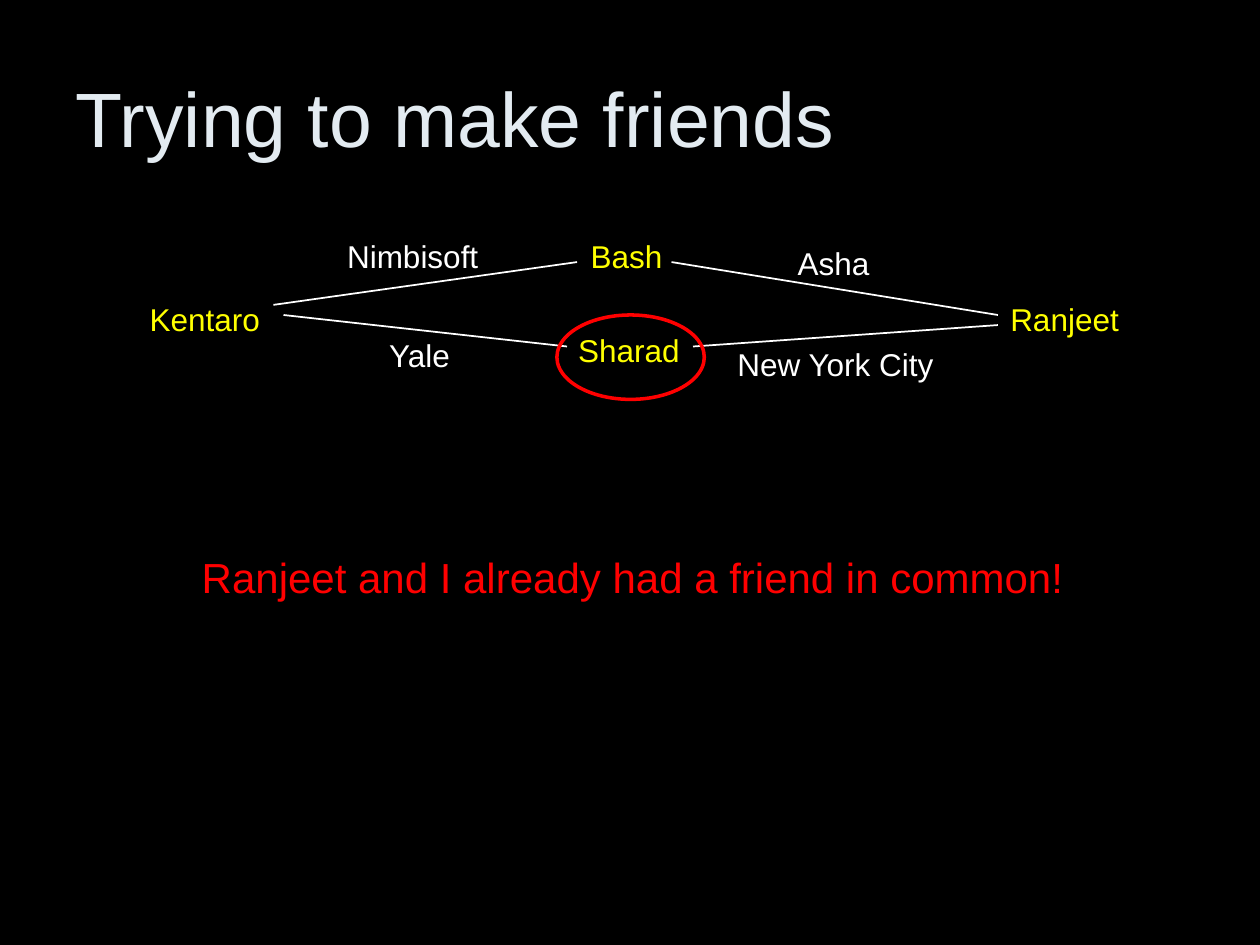
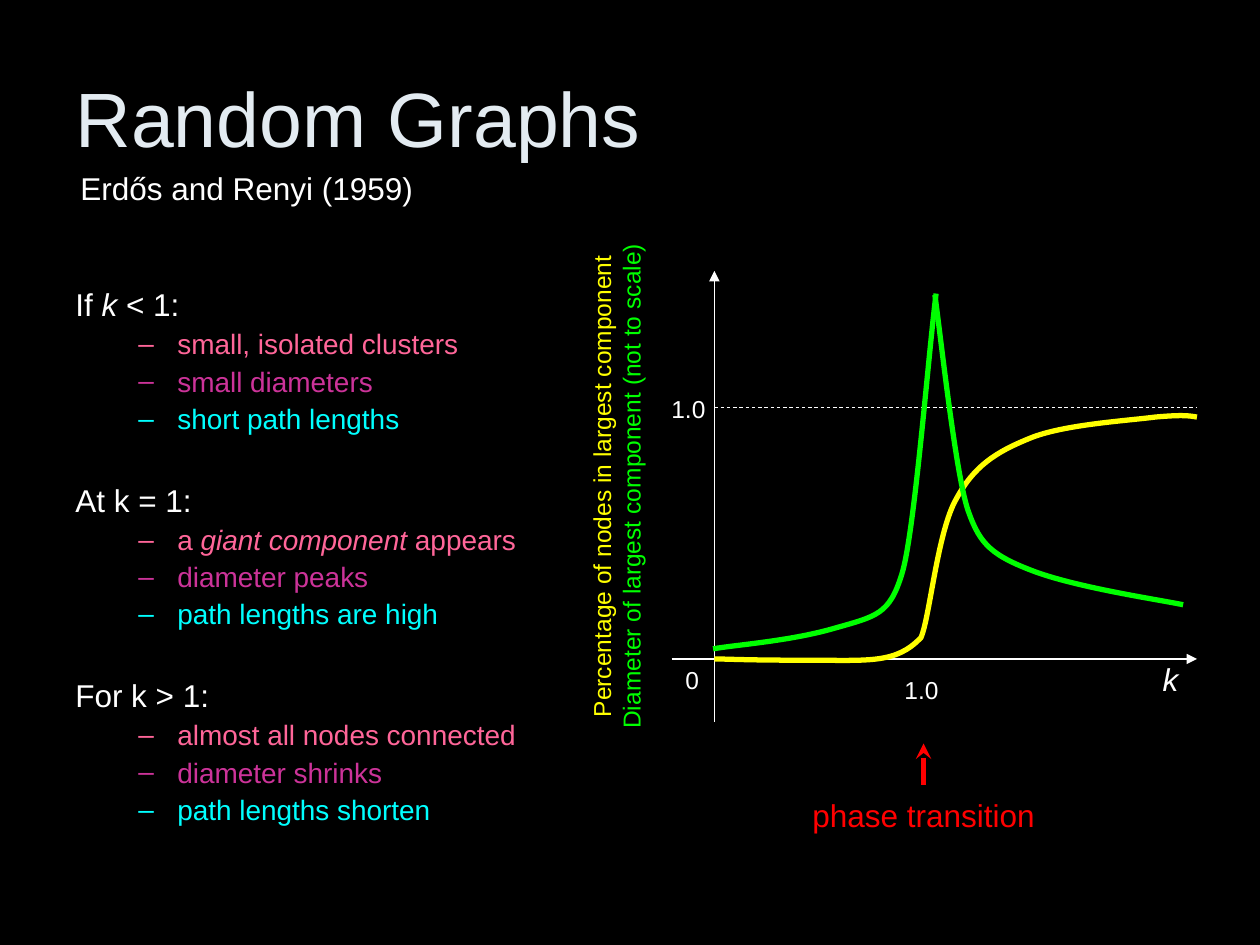
from lxml import etree
from pptx import Presentation
from pptx.dml.color import RGBColor
from pptx.enum import dml, shapes, text
from pptx.oxml import ns
from pptx.util import Inches, Pt

FONT = "Arial"
BLACK, WHITE, TITLE = "000000", "FFFFFF", "E3EBF1"
YELLOW, RED, GREEN = "FFFF00", "FF0000", "00FF00"
PINK, PURPLE, CYAN = "FF6699", "CC3399", "00FFFF"
LEFT, CENTER = text.PP_ALIGN.LEFT, text.PP_ALIGN.CENTER

PEOPLE = [
    ("Kentaro", 1.09, 2.33, 1.07),
    ("Ranjeet", 7.92, 2.33, 1.06),
    ("Bash", 4.59, 1.83, 0.77),
    ("Sharad", 4.49, 2.58, 1),
]
SHARED_PLACES = [
    ("Nimbisoft", 2.67, 1.83, 1.21),
    ("Asha", 6.23, 1.89, 0.77),
    ("New York City", 5.74, 2.69, 1.78),
    ("Yale", 2.98, 2.62, 0.7),
]
FRIENDSHIPS = [
    ((2.25, 2.5), (4.5, 2.75)),
    ((2.17, 2.42), (4.58, 2.08)),
    ((7.92, 2.5), (5.33, 2.08)),
    ((5.5, 2.75), (7.92, 2.58)),
]

REGIMES = [
    ("If *k* < 1:", ["small, isolated clusters", "small diameters", "short path lengths"]),
    ("At k = 1:", ["a* giant component *appears", "diameter peaks", "path lengths are high"]),
    ("For k > 1:", ["almost all nodes connected", "diameter shrinks", "path lengths shorten"]),
]
POINT_COLOURS = [PINK, PURPLE, CYAN]
AXIS_TITLES = [
    ("Percentage of nodes in largest component", YELLOW),
    ("Diameter of largest component (not to scale)", GREEN),
]
TICKS = [
    ("1.0", 5.23, 3.08, 0.47),
    ("0", 5.34, 5.23, 0.31),
    ("1.0", 7.08, 5.31, 0.47),
]
CURVES = [
    (YELLOW, [
        (5.67, 5.23), (5.79, 5.23), (5.9, 5.24), (6.4, 5.24),
        (6.9, 5.24), (7.11, 5.27), (7.31, 5.06),
        (7.38, 4.9), (7.44, 4.22), (7.59, 3.96),
        (7.73, 3.7), (7.9, 3.59), (8.17, 3.48),
        (8.43, 3.37), (8.94, 3.34), (9.17, 3.31),
        (9.39, 3.29), (9.44, 3.3), (9.5, 3.31)]),
    (GREEN, [
        (5.66, 5.15), (5.82, 5.12), (6.26, 5.09), (6.61, 4.99),
        (6.96, 4.89), (7.06, 4.88), (7.16, 4.55),
        (7.26, 4.22), (7.37, 2.79), (7.43, 2.33)]),
    (GREEN, [
        (9.39, 4.8), (9.2, 4.76), (8.58, 4.67), (8.22, 4.54),
        (7.87, 4.41), (7.78, 4.32), (7.69, 4.07),
        (7.59, 3.81), (7.47, 2.7), (7.42, 2.34)]),
]


def colour(value):
    return RGBColor.from_string(value)


def write(para, words, size, ink, align=LEFT):
    para.alignment = align
    para.font.name = FONT
    para.font.size = Pt(size)
    para.font.color.rgb = colour(ink)
    for index, part in enumerate(words.split("*")):
        if part:
            span = para.add_run()
            span.text = part
            if index % 2:
                span.font.italic = True


def add_page(deck, title):
    page = deck.slides.add_slide(deck.slide_layouts[5])
    box = page.shapes.title
    box.left, box.top, box.width, box.height = map(Inches, (0.5, 0.3, 9, 1.25))
    frame = box.text_frame
    frame.auto_size = text.MSO_AUTO_SIZE.NONE
    frame.vertical_anchor = text.MSO_ANCHOR.MIDDLE
    write(frame.paragraphs[0], title, 44, TITLE)
    return page


def add_frame(page, left, top, width, height):
    box = page.shapes.add_textbox(*map(Inches, (left, top, width, height)))
    box.text_frame.word_wrap = True
    return box.text_frame


def add_label(page, words, left, top, width, ink, size=18, align=LEFT):
    frame = add_frame(page, left, top, width, round(size / 60 + 0.1, 2))
    frame.word_wrap = False
    frame.margin_left = Inches(0.1 if align == LEFT else 0.02)
    frame.margin_right = Inches(0.02)
    write(frame.paragraphs[0], words, size, ink, align)


def add_line(page, start, end, ink=WHITE, width=1, dash=None, arrow=None):
    line = page.shapes.add_connector(
        shapes.MSO_CONNECTOR.STRAIGHT, *map(Inches, start + end))
    line.line.color.rgb = colour(ink)
    line.line.width = Pt(width)
    if dash:
        line.line.dash_style = dash
    if arrow:
        etree.SubElement(line.line._get_or_add_ln(), ns.qn("a:tailEnd"), type=arrow)
    etree.SubElement(line._element.spPr, ns.qn("a:effectLst"))


def outline(shape, ink, width):
    shape.shadow.inherit = False
    shape.fill.background()
    shape.line.color.rgb = colour(ink)
    shape.line.width = Pt(width)


def add_curve(page, ink, knots):
    start, *rest = [tuple(map(Inches, knot)) for knot in knots]
    builder = page.shapes.build_freeform(*start)
    builder.add_line_segments(rest, close=False)
    curve = builder.convert_to_shape()
    segments = list(curve._element.iter(ns.qn("a:lnTo")))
    route = segments[0].getparent()
    for first in range(0, len(segments), 3):
        bend = etree.SubElement(route, ns.qn("a:cubicBezTo"))
        for segment in segments[first:first + 3]:
            bend.append(segment[0])
            route.remove(segment)
    outline(curve, ink, 3)


def add_bullet(para, ink):
    props = para._p.get_or_add_pPr()
    props.set("marL", str(Inches(0.81)))
    props.set("indent", str(Inches(-0.31)))
    tint = etree.SubElement(props, ns.qn("a:buClr"))
    etree.SubElement(tint, ns.qn("a:srgbClr"), val=ink)
    etree.SubElement(props, ns.qn("a:buFont"), typeface=FONT)
    etree.SubElement(props, ns.qn("a:buChar"), char="–")


def add_regimes(page):
    frame = add_frame(page, 0.5, 2.25, 3.73, 4.92)
    for index, (heading, points) in enumerate(REGIMES):
        para = frame.add_paragraph() if index else frame.paragraphs[0]
        para.line_spacing = 0.9
        if index:
            para.space_before = Pt(28.5)
        write(para, heading, 18, WHITE)
        for point, ink in zip(points, POINT_COLOURS):
            para = frame.add_paragraph()
            add_bullet(para, ink)
            para.line_spacing = 0.9
            para.space_before = Pt(4)
            write(para, point, 16, ink)


def add_axis_titles(page):
    frame = add_frame(page, 4.56, 1.59, 0.66, 4.54)
    frame.vertical_anchor = text.MSO_ANCHOR.MIDDLE
    frame._txBody.bodyPr.set("vert", "vert270")
    for index, (words, ink) in enumerate(AXIS_TITLES):
        para = frame.add_paragraph() if index else frame.paragraphs[0]
        write(para, words, 14, ink, CENTER)


def build_friends(deck):
    page = add_page(deck, "Trying to make friends")
    for person in PEOPLE:
        add_label(page, *person, YELLOW)
    for start, end in FRIENDSHIPS:
        add_line(page, start, end)
    for place in SHARED_PLACES:
        add_label(page, *place, WHITE, align=CENTER)
    add_label(page, "Ranjeet and I already had a friend in common!",
              1.5, 4.33, 7.04, RED, 24, CENTER)
    ring = page.shapes.add_shape(
        shapes.MSO_SHAPE.OVAL, *map(Inches, (4.42, 2.5, 1.17, 0.67)))
    outline(ring, RED, 2)


def build_random_graphs(deck):
    page = add_page(deck, "Random Graphs")
    add_regimes(page)
    add_label(page, "Erdős and Renyi (1959)", 0.54, 1.29, 2.84, WHITE)
    add_line(page, (5.67, 5.73), (5.67, 2.15), arrow="triangle")
    add_line(page, (5.33, 5.23), (9.5, 5.23), arrow="triangle")
    add_line(page, (5.67, 3.23), (9.5, 3.23), width=0.5, dash=dml.MSO_LINE.DASH)
    add_axis_titles(page)
    for tick in TICKS:
        add_label(page, *tick, WHITE, 14)
    add_label(page, "*k*", 9.04, 5.19, 0.5, WHITE, align=CENTER)
    add_line(page, (7.33, 6.23), (7.33, 5.9), RED, 3, arrow="stealth")
    add_label(page, "phase transition", 6.35, 6.27, 1.96, RED, align=CENTER)
    for ink, knots in CURVES:
        add_curve(page, ink, knots)


def main():
    deck = Presentation()
    deck.slide_width, deck.slide_height = Inches(10), Inches(7.5)
    backdrop = deck.slide_master.background.fill
    backdrop.solid()
    backdrop.fore_color.rgb = colour(BLACK)
    build_friends(deck)
    build_random_graphs(deck)
    deck.save("out.pptx")


if __name__ == "__main__":
    main()
